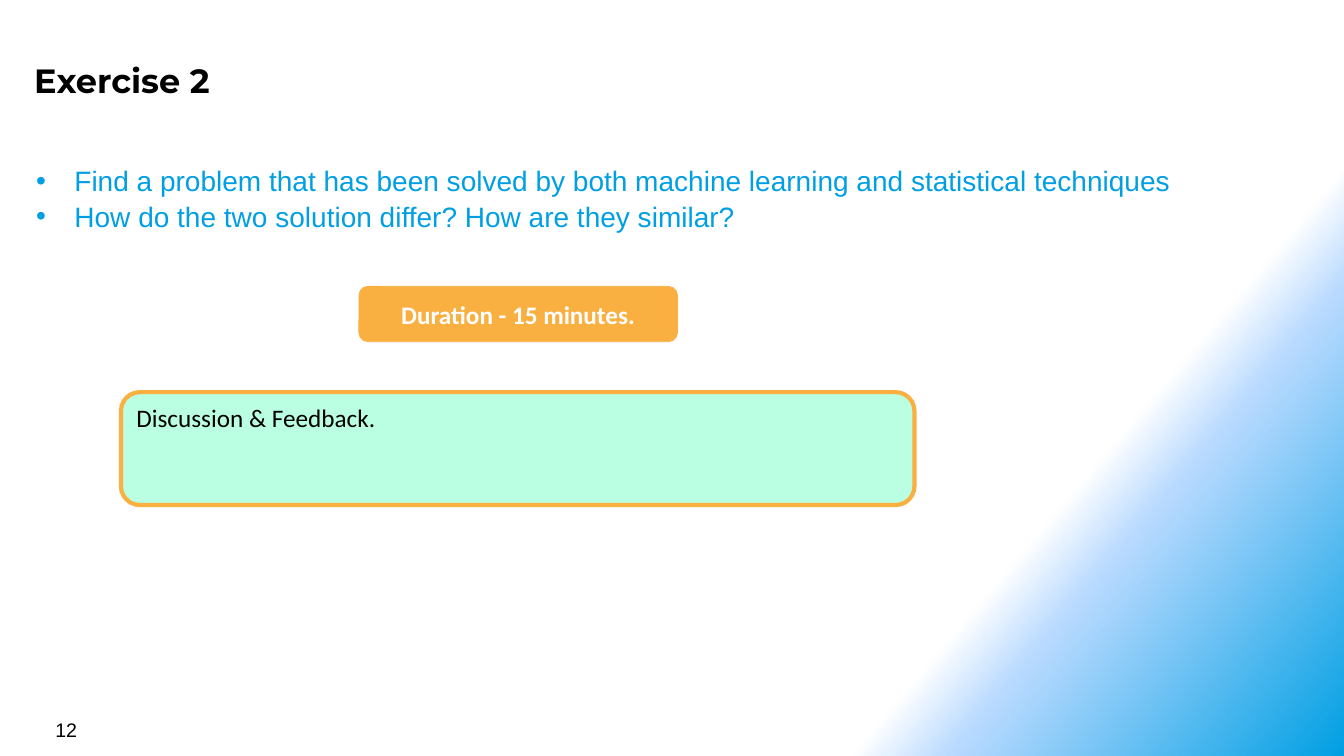
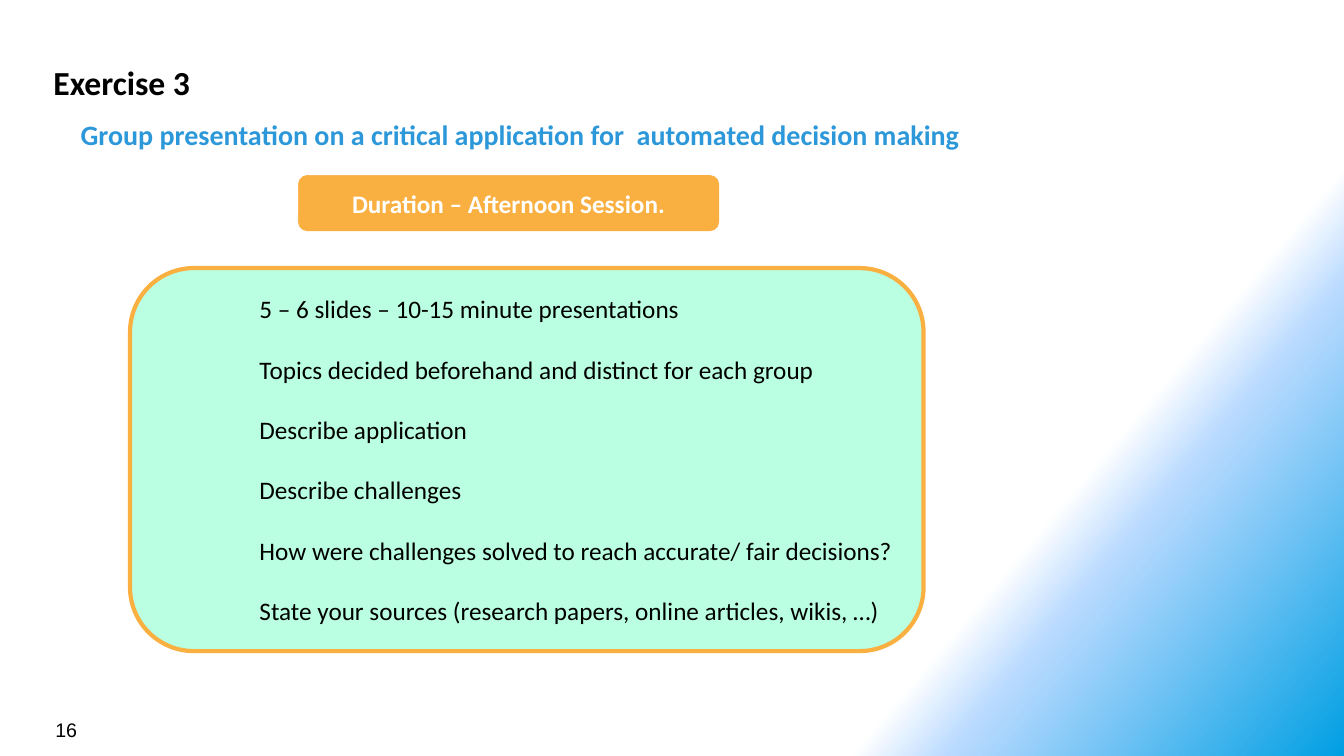
from dataclasses import dataclass

from lxml import etree
from pptx import Presentation
from pptx.dml.color import RGBColor
from pptx.enum.shapes import MSO_SHAPE
from pptx.enum.text import MSO_ANCHOR, PP_ALIGN
from pptx.oxml.ns import qn
from pptx.util import Inches, Pt

ROUNDED = MSO_SHAPE.ROUNDED_RECTANGLE
TOP, MIDDLE = MSO_ANCHOR.TOP, MSO_ANCHOR.MIDDLE
LEFT, CENTER = PP_ALIGN.LEFT, PP_ALIGN.CENTER
BLANK_LAYOUT = 6


@dataclass(frozen=True)
class Theme:
    black: str = "000000"
    white: str = "FFFFFF"
    blue: str = "009FE3"
    subtitle_blue: str = "2D98D9"
    orange: str = "FAB041"
    mint: str = "BAFFE1"
    pale_blue: str = "B9DAFF"
    sans: str = "Arial"
    body: str = "Calibri"
    display: str = "Montserrat"
    title_size: int = 24
    lead_size: int = 20
    body_size: int = 18
    number_size: int = 14


class Deck:
    def __init__(self, theme):
        self.theme = theme
        self.prs = Presentation()
        self.prs.slide_width = Inches(13.33)
        self.prs.slide_height = Inches(7.5)
        self.slide = None
        self.paint_background()

    def paint_background(self):
        """Give the master a diagonal gradient that all slides inherit."""
        master = self.prs.slide_master
        fill = master.background.fill
        fill.gradient()
        fill.gradient_angle = 320  # counter-clockwise
        stops = master.element.find(".//" + qn("a:gsLst"))
        for stop in list(stops):
            stops.remove(stop)
        for percent, color, opacity in (
            (75, self.theme.white, 100),
            (80, self.theme.pale_blue, 50),
            (100, self.theme.blue, 100),
        ):
            stop = etree.SubElement(stops, qn("a:gs"), pos=str(percent * 1000))
            srgb = etree.SubElement(stop, qn("a:srgbClr"), val=color)
            if opacity < 100:
                etree.SubElement(srgb, qn("a:alpha"), val=str(opacity * 1000))

    def new_slide(self, number):
        layout = self.prs.slide_layouts[BLANK_LAYOUT]
        self.slide = self.prs.slides.add_slide(layout)
        self.text_box((0.45, 7.07, 3.11, 0.33), [number],
                      self.font(self.theme.sans, self.theme.number_size, self.theme.black))

    @staticmethod
    def font(name, size, color, bold=False):
        return {"name": name, "size": Pt(size), "bold": bold, "color": color}

    def fill_text(self, frame, lines, font, **paragraph_format):
        """Fill a frame with one paragraph per line, all in one style."""
        frame.word_wrap = True
        for index, line in enumerate(lines):
            paragraph = frame.paragraphs[0] if index == 0 else frame.add_paragraph()
            for attribute, value in paragraph_format.items():
                setattr(paragraph, attribute, value)
            run = paragraph.add_run()
            run.text = line
            for attribute, value in font.items():
                if attribute == "color":
                    run.font.color.rgb = RGBColor.from_string(value)
                else:
                    setattr(run.font, attribute, value)

    def text_box(self, box, lines, font, inset=None, **paragraph_format):
        frame = self.slide.shapes.add_textbox(*map(Inches, box)).text_frame
        if inset is not None:
            for side in ("left", "top", "right", "bottom"):
                setattr(frame, f"margin_{side}", Inches(inset))
        self.fill_text(frame, lines, font, **paragraph_format)
        return frame

    def heading(self, box, text, font_name, size, color):
        self.text_box(box, [text], self.font(font_name, size, color, True), inset=0.08)

    def title(self, box, text, font_name):
        self.heading(box, text, font_name, self.theme.title_size, self.theme.black)

    def subtitle(self, box, text):
        self.heading(box, text, self.theme.body, self.theme.lead_size,
                     self.theme.subtitle_blue)

    def bullets(self, box, lines):
        font = self.font(self.theme.sans, self.theme.lead_size, self.theme.blue)
        frame = self.text_box(box, lines, font, line_spacing=1.05)
        indent = Inches(0.38)
        for paragraph in frame.paragraphs:
            properties = paragraph._p.get_or_add_pPr()
            properties.set("marL", str(indent))
            properties.set("indent", str(-indent))
            etree.SubElement(properties, qn("a:buFont"), typeface=self.theme.sans)
            etree.SubElement(properties, qn("a:buChar"), char="•")

    def rounded_box(self, box, fill, line_width, anchor):
        shape = self.slide.shapes.add_shape(ROUNDED, *map(Inches, box))
        shape.shadow.inherit = False
        shape.fill.solid()
        shape.fill.fore_color.rgb = RGBColor.from_string(fill)
        shape.line.color.rgb = RGBColor.from_string(self.theme.orange)
        shape.line.width = Pt(line_width)
        shape.text_frame.vertical_anchor = anchor
        return shape.text_frame

    def duration(self, box, text):
        frame = self.rounded_box(box, self.theme.orange, 0.5, MIDDLE)
        font = self.font(self.theme.body, self.theme.body_size, self.theme.white, True)
        self.fill_text(frame, [text], font, alignment=CENTER)

    def panel(self, box, lines, anchor, indent=0):
        frame = self.rounded_box(box, self.theme.mint, 3, anchor)
        font = self.font(self.theme.body, self.theme.body_size, self.theme.black)
        self.fill_text(frame, lines, font, alignment=LEFT)
        for index, paragraph in enumerate(frame.paragraphs):
            if index:
                paragraph.space_before = Pt(21.5)
            if indent:
                paragraph._p.get_or_add_pPr().set("marL", str(Inches(indent)))


def main():
    theme = Theme()
    deck = Deck(theme)

    deck.new_slide("12")
    deck.title((0.26, 0.51, 12.26, 0.55), "Exercise 2", theme.display)
    deck.bullets((0.26, 1.56, 12.68, 0.77), [
        "Find a problem that has been solved by both machine learning and statistical techniques",
        "How do the two solution differ? How are they similar?",
    ])
    deck.duration((3.56, 2.84, 3.16, 0.55), "Duration - 15 minutes.")
    deck.panel((1.2, 3.89, 7.87, 1.12), ["Discussion & Feedback."], TOP)

    deck.new_slide("16")
    deck.title((0.45, 0.53, 9.2, 0.55), "Exercise 3", theme.body)
    deck.subtitle((0.72, 1.09, 9.53, 0.5),
                  "Group presentation on a critical application for  automated decision making")
    deck.duration((2.96, 1.74, 4.17, 0.55), "Duration – Afternoon Session.")
    deck.panel((1.29, 2.66, 7.87, 3.8), [
        "5 – 6 slides – 10-15 minute presentations",
        "Topics decided beforehand and distinct for each group",
        "Describe application",
        "Describe challenges",
        "How were challenges solved to reach accurate/ fair decisions?",
        "State your sources (research papers, online articles, wikis, …)",
    ], MIDDLE, indent=1)

    deck.prs.save("out.pptx")


if __name__ == "__main__":
    main()
